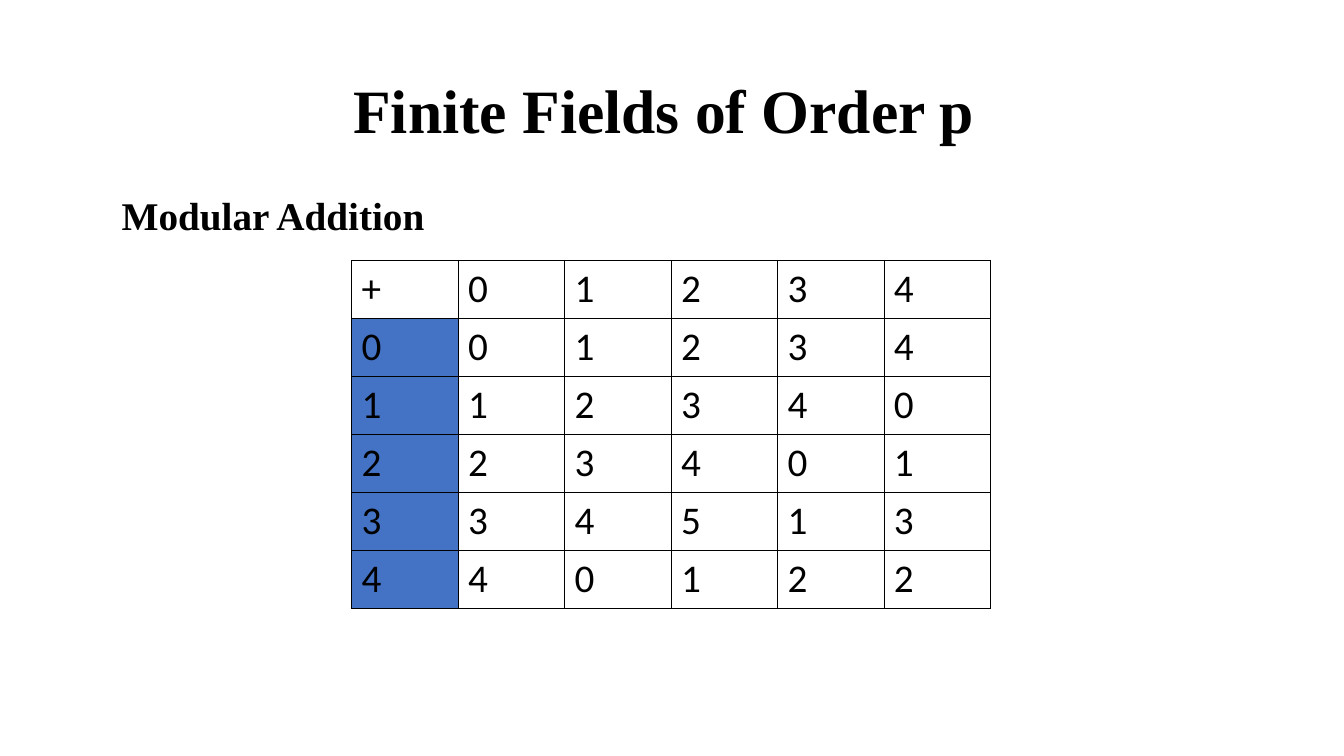
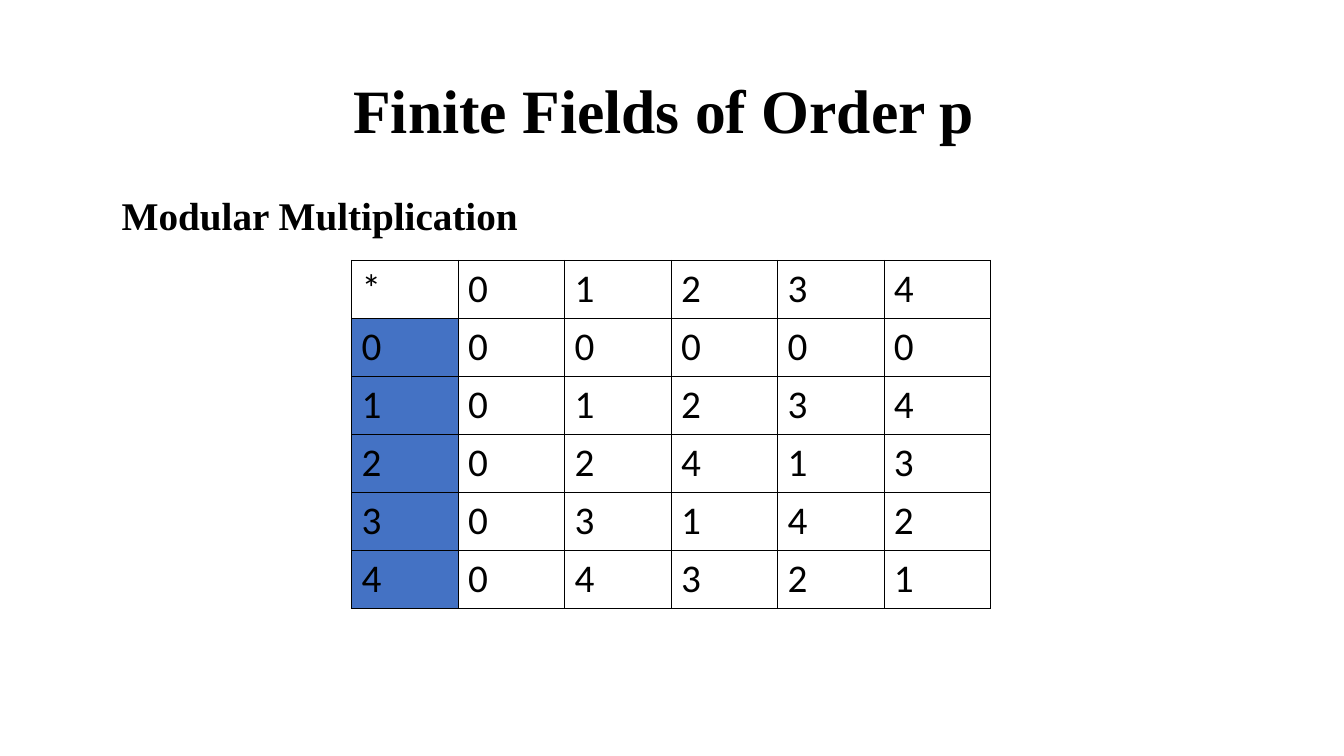
from lxml.etree import SubElement as Sub
from pptx import Presentation
from pptx.dml.color import RGBColor as RGB
from pptx.enum.text import MSO_ANCHOR as ANCHOR, MSO_AUTO_SIZE as FIT, PP_ALIGN as ALIGN
from pptx.oxml.ns import qn
from pptx.util import Inches, Pt

COLORS = {"ink": "000000", "head": "4472C4"}
SERIF, SANS = "Times New Roman", "Calibri"
WIDE, HIGH = Inches(13.34), Inches(7.5)
COL, ROW = WIDE / 100, HIGH / 100  # grid of 100 columns by 100 rows

TITLE = "Finite Fields of Order p "
TITLE_BOX = (6.9, 5.33, 86.21, 19.33)
TABLE_BOX = (26.16, 34.4, 47.53, 45.33)
SLIDES = [
    ("Modular Addition", (8.32, 24.67, 24.29, 7.6),
     ["+01234", "001234", "112340", "223401", "334513", "440122"]),
    ("Modular Multiplication", (8.32, 24.67, 31.33, 7.6),
     ["*01234", "000000", "101234", "202413", "303142", "404321"]),
]


def place(box):
    """Turn a box in grid columns and rows into lengths."""
    left, top, width, height = box
    return int(left * COL), int(top * ROW), int(width * COL), int(height * ROW)


def write(frame, text, font=SERIF, size=28, bold=False, color="ink",
          align=ALIGN.LEFT, space=1.0):
    para = frame.paragraphs[0]
    para.alignment, para.line_spacing = align, space
    run = para.add_run()
    run.text = text
    face = run.font
    face.name, face.size, face.bold = font, Pt(size), bold
    face.color.rgb = RGB.from_string(COLORS[color])


def add_title(slide, box):
    title = slide.shapes.title
    title.left, title.top, title.width, title.height = place(box)
    frame = title.text_frame
    frame.auto_size, frame.vertical_anchor = FIT.NONE, ANCHOR.MIDDLE
    write(frame, TITLE, size=44, bold=True, align=ALIGN.CENTER, space=0.9)


def add_label(slide, box, text):
    frame = slide.shapes.add_textbox(*place(box)).text_frame
    frame.word_wrap, frame.auto_size = True, FIT.SHAPE_TO_FIT_TEXT
    write(frame, text, bold=True)


def rule(cell):
    """Draw a thin line on all four sides of a cell."""
    props = cell._tc.get_or_add_tcPr()
    for side in ("a:lnL", "a:lnR", "a:lnT", "a:lnB"):
        line = Sub(props, qn(side), w=str(Pt(0.45)))
        Sub(Sub(line, qn("a:solidFill")), qn("a:srgbClr"), val=COLORS["ink"])


def add_grid(slide, box, rows):
    count = len(rows)
    table = slide.shapes.add_table(count, len(rows[0]), *place(box)).table
    table.first_row = table.horz_banding = False
    for r, row in enumerate(rows):
        for c, mark in enumerate(row):
            cell = table.cell(r, c)
            rule(cell)
            if r and not c:
                cell.fill.solid()
                cell.fill.fore_color.rgb = RGB.from_string(COLORS["head"])
            else:
                cell.fill.background()
            write(cell.text_frame, mark, font=SANS)


def main():
    deck = Presentation()
    deck.slide_width, deck.slide_height = WIDE, HIGH
    for label, box, rows in SLIDES:
        slide = deck.slides.add_slide(deck.slide_layouts[5])
        add_title(slide, TITLE_BOX)
        add_grid(slide, TABLE_BOX, rows)
        add_label(slide, box, label)
    deck.save("out.pptx")


if __name__ == "__main__":
    main()
